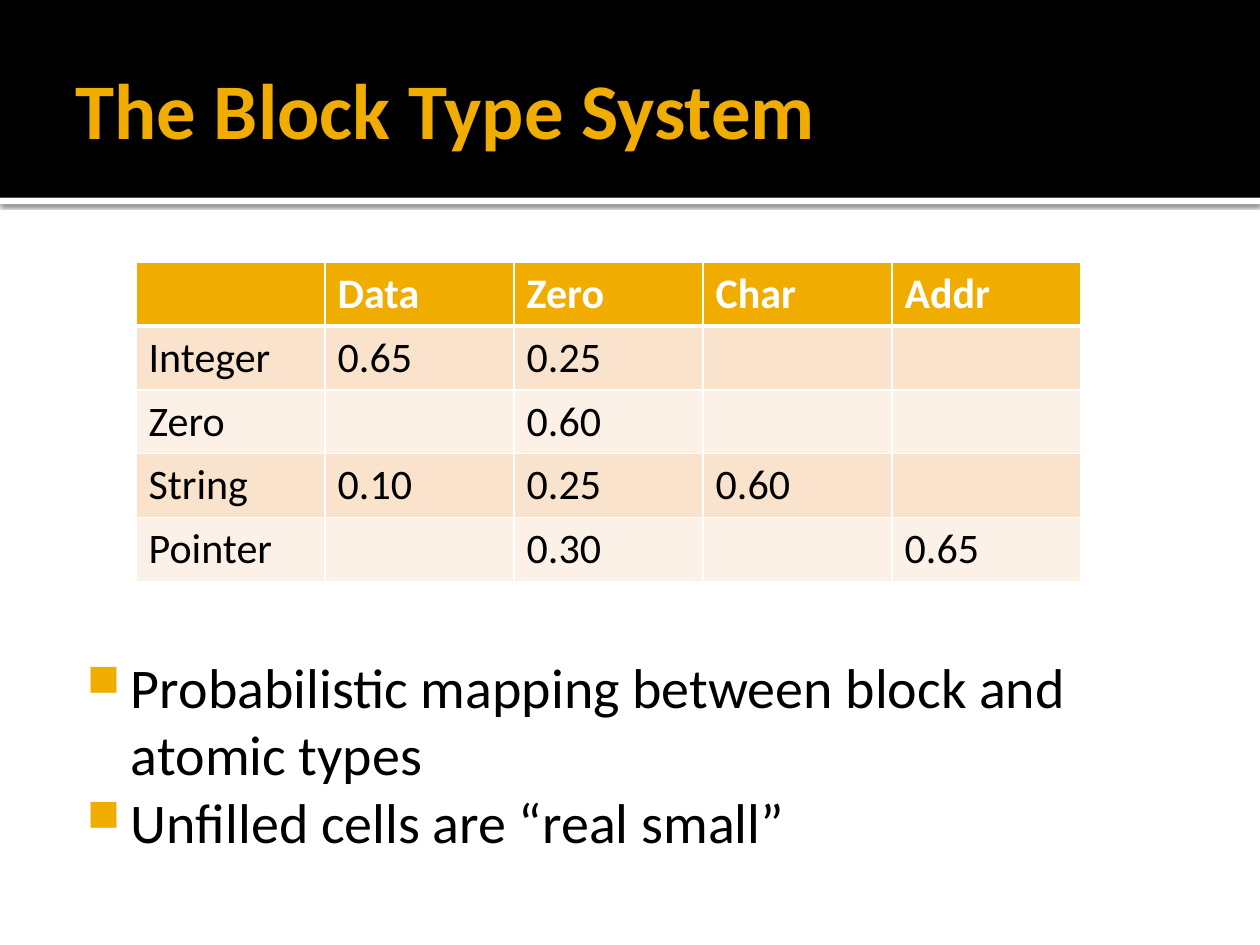
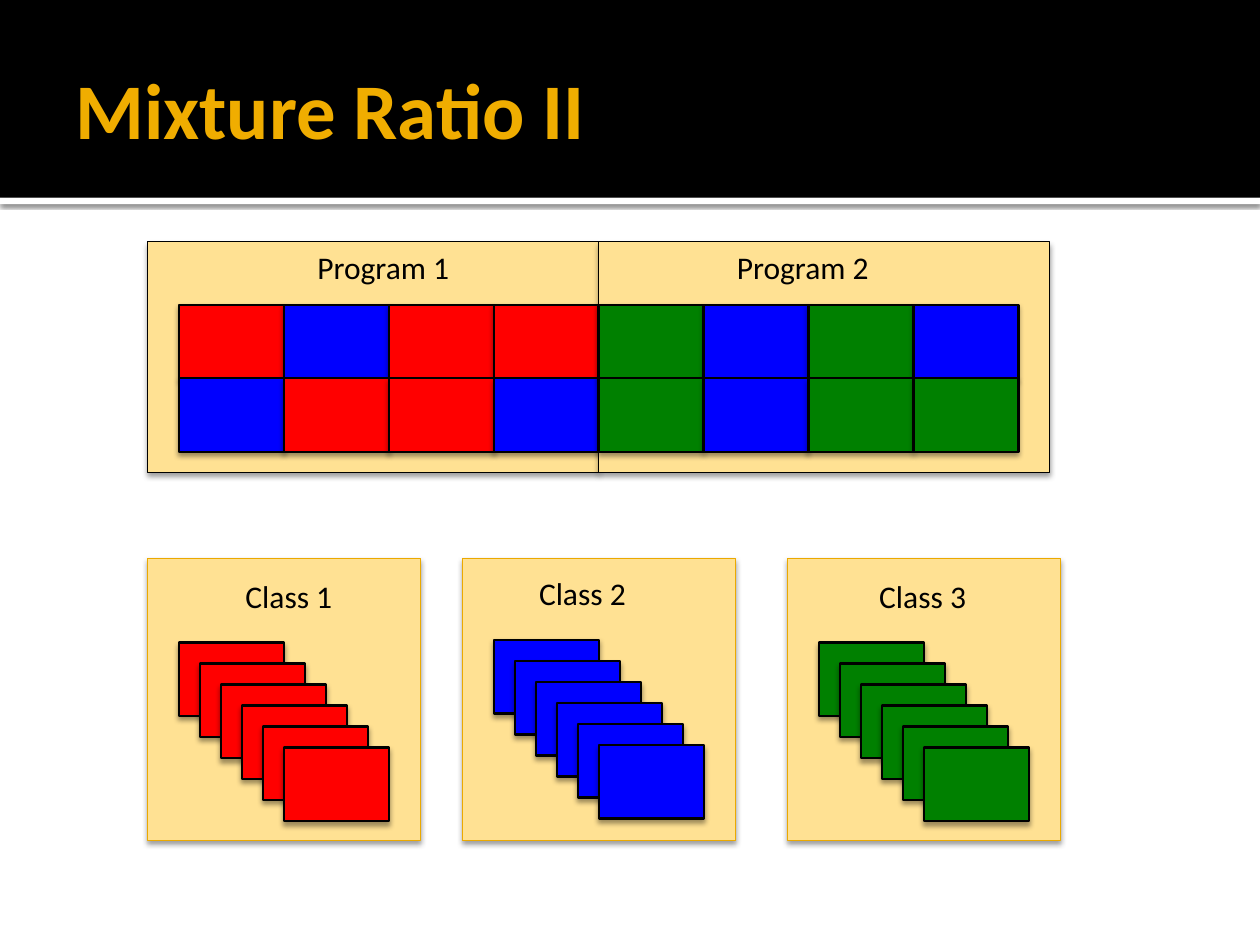
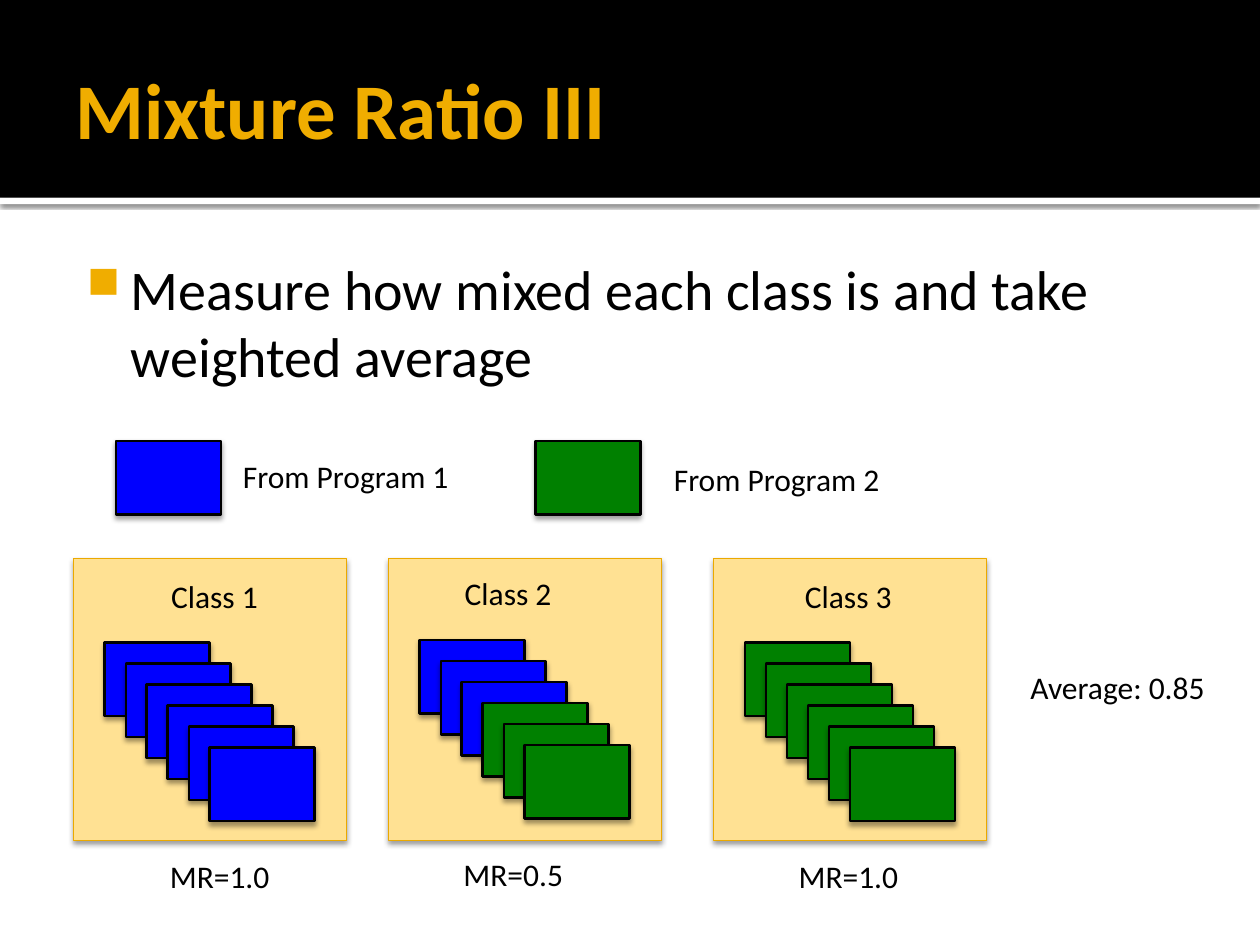
"""Build three slides on block types and the mixture ratio."""
from dataclasses import dataclass

from lxml import etree
from pptx import Presentation
from pptx.dml.color import RGBColor
from pptx.enum.shapes import MSO_SHAPE
from pptx.enum.text import MSO_ANCHOR, MSO_AUTO_SIZE
from pptx.oxml.ns import qn
from pptx.util import Inches, Pt

RECT = MSO_SHAPE.RECTANGLE
MIDDLE, TOP = MSO_ANCHOR.MIDDLE, MSO_ANCHOR.TOP
GROW, FIXED = MSO_AUTO_SIZE.SHAPE_TO_FIT_TEXT, MSO_AUTO_SIZE.NONE


@dataclass(frozen=True)
class Theme:
    font: str = "Calibri"
    gold: str = "F0AD00"
    edge: str = "EBA900"
    sand: str = "FFE193"
    black: str = "000000"
    white: str = "FFFFFF"
    red: str = "FF0000"
    blue: str = "0000FF"
    green: str = "008000"
    bands: tuple = ("FCF1E7", "F9E3CC")
    title: int = 45
    body: int = 32
    cell: int = 24
    label: int = 18


theme = Theme()
HUES = {"R": theme.red, "B": theme.blue, "G": theme.green}
WIDE, HIGH, STEP = 5 / 6, 7 / 12, 1 / 6


def box(page, at, fill, line=None, weight=0.5, shade=(38, 3.1, 2)):
    shape = page.shapes.add_shape(RECT, *map(Inches, at))
    shape.fill.solid()
    shape.fill.fore_color.rgb = RGBColor.from_string(fill)
    if line:
        shape.line.color.rgb = RGBColor.from_string(line)
        shape.line.width = Pt(weight)
    else:
        shape.line.fill.background()
    shape.shadow.inherit = False
    if shade:
        alpha, blur, dist = shade
        effects = shape._element.spPr.find(qn("a:effectLst"))
        cast = etree.SubElement(effects, qn("a:outerShdw"), blurRad=str(Pt(blur)),
                                dist=str(Pt(dist)), dir="5400000", rotWithShape="0")
        tint = etree.SubElement(cast, qn("a:srgbClr"), val=theme.black)
        etree.SubElement(tint, qn("a:alpha"), val=str(alpha * 1000))


def write(page, at, lines, size=theme.label, color=theme.black, bold=False,
          inset=(0.1, 0.05, 0.1, 0.05), anchor=TOP, wrap=False, bullet=False):
    frame = page.shapes.add_textbox(*map(Inches, at)).text_frame
    frame.word_wrap = wrap
    frame.auto_size = FIXED if wrap else GROW
    frame.vertical_anchor = anchor
    (frame.margin_left, frame.margin_top,
     frame.margin_right, frame.margin_bottom) = map(Inches, inset)
    frame.text = "\n".join(lines)
    for para in frame.paragraphs:
        if bullet:
            props = para._p.get_or_add_pPr()
            props.set("marL", str(Inches(0.48)))
            props.set("indent", str(Inches(-0.35)))
            tint = etree.SubElement(props, qn("a:buClr"))
            etree.SubElement(tint, qn("a:srgbClr"), val=theme.gold)
            etree.SubElement(props, qn("a:buSzPct"), val="80000")
            etree.SubElement(props, qn("a:buChar"), char="■")
        para.font.name = theme.font
        para.font.size = Pt(size)
        para.font.bold = bold
        para.font.color.rgb = RGBColor.from_string(color)


deck = Presentation()
deck.slide_width, deck.slide_height = Inches(10), Inches(7.5)

pages = []
for title in ("The Block Type System", "Mixture Ratio II", "Mixture Ratio III"):
    page = deck.slides.add_slide(deck.slide_layouts[6])
    box(page, (0, 1.57, 10, 0.05), theme.white, shade=(60, 2.5, 0.8))
    box(page, (0, 0, 10, 1.57), theme.black, shade=None)
    write(page, (0.5, 0.17, 9, 1.37), [title], theme.title, theme.gold, True,
          (0.1, 0.05, 0.05, 0.05), MIDDLE, True)
    pages.append(page)
types, mix, ratio = pages

rows = [
    ("", "Data", "Zero", "Char", "Addr"),
    ("Integer", "0.65", "0.25", "", ""),
    ("Zero", "", "0.60", "", ""),
    ("String", "0.10", "0.25", "0.60", ""),
    ("Pointer", "", "0.30", "", "0.65"),
]
grid = types.shapes.add_table(len(rows), len(rows[0]), Inches(1.08), Inches(2.08),
                              Inches(7.5), Inches(2.5)).table
grid.horz_banding = False
for r, row in enumerate(rows):
    head = r == 0
    for c, text in enumerate(row):
        cell = grid.cell(r, c)
        props = cell._tc.get_or_add_tcPr()
        for side in "LRTB":
            thick = 3 if (head and side == "B") or (r == 1 and side == "T") else 1
            line = etree.SubElement(props, qn("a:ln" + side), w=str(Pt(thick)))
            paint = etree.SubElement(line, qn("a:solidFill"))
            etree.SubElement(paint, qn("a:srgbClr"), val=theme.white)
        cell.fill.solid()
        cell.fill.fore_color.rgb = RGBColor.from_string(
            theme.gold if head else theme.bands[r % 2])
        cell.text = text
        font = cell.text_frame.paragraphs[0].font
        font.name, font.size, font.bold = theme.font, Pt(theme.cell), head
        font.color.rgb = RGBColor.from_string(theme.white if head else theme.black)

points = [
    (types, 5.08, 1.89, ["Probabilistic mapping between block and atomic types",
                         "Unfilled cells are “real small”"]),
    (ratio, 1.92, 1.31, ["Measure how mixed each class is and take weighted average"]),
]
for page, top, high, lines in points:
    write(page, (0.5, top, 9, high), lines, theme.body,
          inset=(0.06, 0.1, 0.1, 0.05), wrap=True, bullet=True)

programs = [
    ("Program 1", 1.17, 1.42, 2.42, ("RBRR", "BRRB")),
    ("Program 2", 4.75, 4.75, 5.75, ("GBGB", "GBGG")),
]
for name, left, first, mark, blocks in programs:
    box(mix, (left, 1.92, 3.58, 1.83), theme.sand, theme.black)
    for r, row in enumerate(blocks):
        for c, hue in enumerate(row):
            box(mix, (first + c * WIDE, 2.42 + r * HIGH, WIDE, HIGH),
                HUES[hue], theme.black, 1.25)
    write(mix, (mark, 1.92, 1.28, 0.4), [name])

classes = [
    ("Class 1", 0, 0.68, 0),
    ("Class 2", 2.5, 0.51, -0.02),
    ("Class 3", 5.08, 0.63, 0),
]
stacks = [
    (mix, 1.17, ("RRRRRR", "BBBBBB", "GGGGGG")),
    (ratio, 0.58, ("BBBBBB", "BBBGGG", "GGGGGG")),
]
for page, start, sets in stacks:
    for (name, across, inner, lift), hues in zip(classes, sets):
        left = start + across
        box(page, (left, 4.43, 2.17, 2.24), theme.sand, theme.edge)
        for n, hue in enumerate(hues):
            box(page, (left + 0.25 + n * STEP, 5.1 + lift + n * STEP, WIDE, HIGH),
                HUES[hue], theme.black, 1.25)
        write(page, (left + inner, 4.53 + lift, 0.9, 0.4), [name])

for left, hue in ((0.92, theme.blue), (4.25, theme.green)):
    box(ratio, (left, 3.5, WIDE, HIGH), hue, theme.black, 1.25)

notes = [
    ("From Program 1", 1.83, 3.58, 1.89),
    ("From Program 2", 5.25, 3.6, 1.9),
    ("MR=1.0", 1.25, 6.75, 1),
    ("MR=0.5", 3.58, 6.74, 1.01),
    ("MR=1.0", 6.24, 6.75, 1),
    ("Average: 0.85", 8.08, 5.25, 1.63),
]
for text, left, top, wide in notes:
    write(ratio, (left, top, wide, 0.4), [text])

deck.save("out.pptx")
